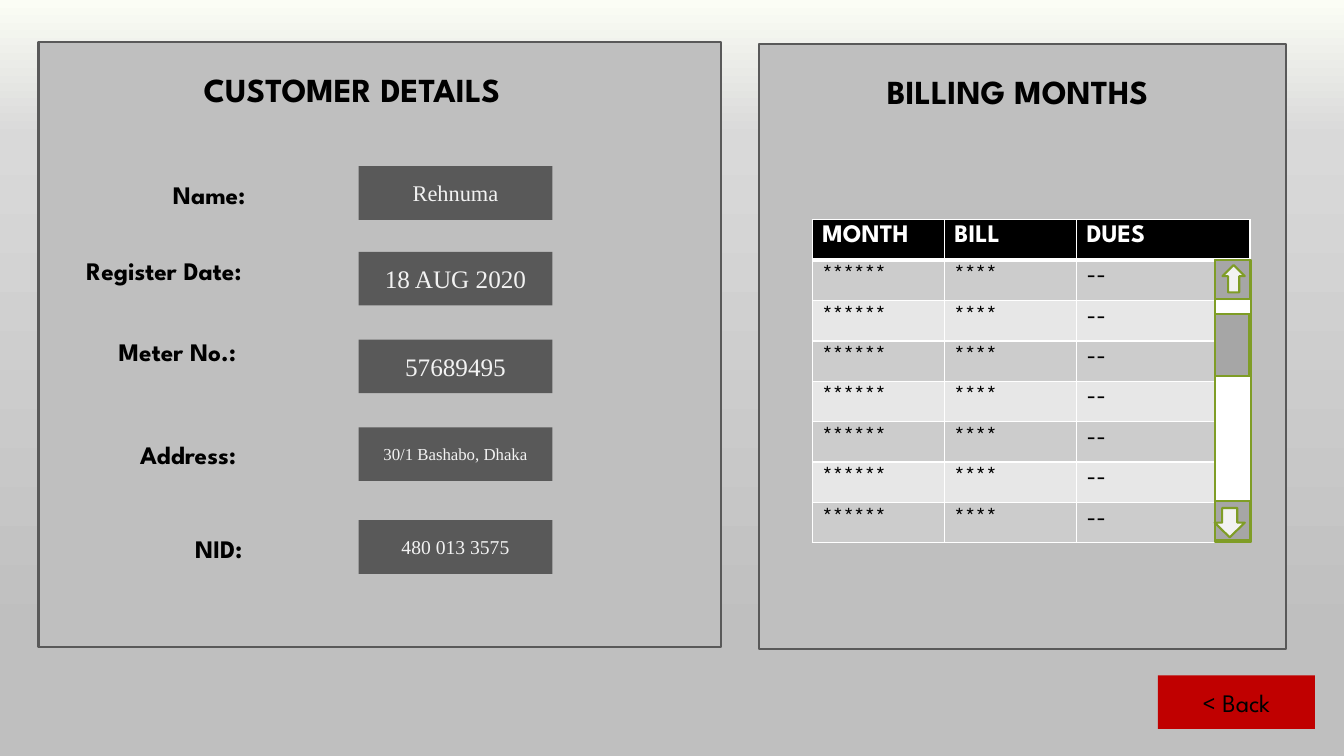
from copy import deepcopy
from lxml.etree import SubElement
from pptx import Presentation
from pptx.dml.color import RGBColor
from pptx.enum.shapes import MSO_SHAPE
from pptx.enum.text import MSO_ANCHOR, MSO_AUTO_SIZE, PP_ALIGN
from pptx.oxml.ns import qn
from pptx.util import Cm, Pt

BLACK = RGBColor(0x00, 0x00, 0x00)
WHITE = RGBColor(0xFF, 0xFF, 0xFF)
IVORY = RGBColor(0xFB, 0xFD, 0xF5)
MIST = RGBColor(0xD9, 0xD9, 0xD9)
SILVER = RGBColor(0xBF, 0xBF, 0xBF)
CHARCOAL = RGBColor(0x59, 0x59, 0x59)
PALE = RGBColor(0xF2, 0xF2, 0xF2)
GREY = RGBColor(0xA6, 0xA6, 0xA6)
GREEN = RGBColor(0x7F, 0x9D, 0x26)
RED = RGBColor(0xC0, 0x00, 0x00)
BAND_DARK = RGBColor(0xCC, 0xCC, 0xCC)
BAND_LIGHT = RGBColor(0xE7, 0xE7, 0xE7)
SANS, SERIF = "League Spartan", "Times New Roman"

BACKGROUND = [(0, IVORY), (0.18, MIST), (0.85, SILVER)]
PANELS = [(19.13, 1.12, 13.28, 15.24), (0.97, 1.07, 17.2, 15.24)]
TITLES = [
    ("CUSTOMER DETAILS", (4.88, 1.6, 8.31, 1.27)),
    ("BILLING MONTHS", (22.1, 1.65, 7.34, 1.27)),
]
DETAILS = [
    ("Name:", (4.11, 4.39, 2.62, 1.02), "Rehnuma", 4.19, 16),
    ("Register Date:", (1.93, 6.32, 4.8, 1.02), "18 AUG 2020", 6.35, 18),
    ("Meter No.:", (2.74, 8.36, 3.73, 1.02), "57689495", 8.56, 18),
    ("Address:", (3.28, 10.95, 3.2, 1.02), "30/1 Bashabo, Dhaka", 10.77, 12),
    ("NID:", (4.67, 13.31, 1.8, 1.02), "480 013 3575", 13.11, 14),
]
VALUE_LEFT, VALUE_WIDTH, VALUE_HEIGHT = 9.04, 4.88, 1.35
BILLS = [("MONTH", "BILL", "DUES")] + [("******", "****", "--")] * 7
BILL_LEFT, BILL_TOP, ROW_HEIGHT = 20.47, 5.54, 1.016
COLUMN_WIDTHS = (3.33, 3.33, 4.37)
BACK_BOX = (29.18, 17.02, 3.96, 1.35)
SCROLL_BAR = [
    (MSO_SHAPE.RECTANGLE, (30.63, 6.55, 0.89, 7.11), WHITE, 0),
    (MSO_SHAPE.RECTANGLE, (30.61, 6.55, 0.89, 0.99), GREY, 0),
    (MSO_SHAPE.RECTANGLE, (30.61, 12.62, 0.89, 0.99), GREY, 0),
    (MSO_SHAPE.UP_ARROW, (30.81, 6.68, 0.56, 0.69), PALE, 0),
    (MSO_SHAPE.UP_ARROW, (30.61, 12.8, 0.76, 0.74), PALE, 180),
    (MSO_SHAPE.RECTANGLE, (30.63, 7.92, 0.86, 1.55), GREY, 0),
]


def write(frame, text, color, **font_format):
    para = frame.paragraphs[0]
    span = para.add_run()
    span.text = text
    for name, value in font_format.items():
        setattr(span.font, name, value)
    span.font.color.rgb = color
    return para, span


def add_block(page, kind, place, fill, line=None):
    block = page.shapes.add_shape(kind, *map(Cm, place))
    block.shadow.inherit = False
    block.fill.solid()
    block.fill.fore_color.rgb = fill
    if line is None:
        block.line.fill.background()
    else:
        block.line.color.rgb = line
        block.line.width = Pt(1.5)
    return block


def add_button(page, place, fill, text, color, **font_format):
    frame = add_block(page, MSO_SHAPE.RECTANGLE, place, fill).text_frame
    frame.vertical_anchor = MSO_ANCHOR.MIDDLE
    para, span = write(frame, text, color, **font_format)
    para.alignment = PP_ALIGN.CENTER
    return span


def add_label(page, place, text, size):
    frame = page.shapes.add_textbox(*map(Cm, place)).text_frame
    frame.word_wrap = False
    frame.auto_size = MSO_AUTO_SIZE.SHAPE_TO_FIT_TEXT
    write(frame, text, BLACK, name=SANS, size=Pt(size), bold=True)


def add_solid_line(parent, tag, color, points):
    line = SubElement(parent, qn(tag), w=str(Pt(points)))
    fill = SubElement(line, qn("a:solidFill"))
    SubElement(fill, qn("a:srgbClr"), val=str(color))
    return line


def paint_background(page):
    page.background.fill.gradient()
    stops = next(page.element.iter(qn("a:gsLst")))
    stops.append(deepcopy(stops[0]))
    fill = page.background.fill
    fill.gradient_angle = 270
    for stop, (position, color) in zip(fill.gradient_stops, BACKGROUND):
        stop.position = position
        stop.color.rgb = color


def add_bills(page):
    frame = page.shapes.add_table(
        len(BILLS), len(COLUMN_WIDTHS), Cm(BILL_LEFT), Cm(BILL_TOP),
        Cm(sum(COLUMN_WIDTHS)), Cm(ROW_HEIGHT * len(BILLS)))
    table = frame.table
    for column, width in zip(table.columns, COLUMN_WIDTHS):
        column.width = Cm(width)
    for number, texts in enumerate(BILLS):
        table.rows[number].height = Cm(ROW_HEIGHT)
        header = number == 0
        band = BLACK if header else BAND_DARK if number % 2 else BAND_LIGHT
        for column, text in enumerate(texts):
            cell = table.cell(number, column)
            properties = cell._tc.get_or_add_tcPr()
            edges = {"a:lnL": 1, "a:lnR": 1,
                     "a:lnT": 3 if number == 1 else 1,
                     "a:lnB": 3 if header else 1}
            for tag, points in edges.items():
                add_solid_line(properties, tag, WHITE, points)
            cell.fill.solid()
            cell.fill.fore_color.rgb = band
            write(cell.text_frame, text, WHITE if header else BLACK,
                  name=SANS, size=Pt(18), bold=header)


def main():
    deck = Presentation()
    deck.slide_width, deck.slide_height = Cm(33.87), Cm(19.05)
    page = deck.slides.add_slide(deck.slide_layouts[6])
    paint_background(page)
    for place in PANELS:
        add_block(page, MSO_SHAPE.RECTANGLE, place, SILVER, CHARCOAL)
    for title, place in TITLES:
        add_label(page, place, title, 24)
    for label, place, value, top, size in DETAILS:
        add_label(page, place, label, 18)
        add_button(page, (VALUE_LEFT, top, VALUE_WIDTH, VALUE_HEIGHT), CHARCOAL,
                   value, PALE, name=SERIF, size=Pt(size))
    add_bills(page)
    back = add_button(page, BACK_BOX, RED, "< Back", BLACK, name=SANS, size=Pt(18))
    properties = back.font._element
    properties.insert(0, add_solid_line(properties, "a:ln", BLACK, 0.75))
    for kind, place, fill, rotation in SCROLL_BAR:
        add_block(page, kind, place, fill, GREEN).rotation = rotation
    deck.save("out.pptx")


if __name__ == "__main__":
    main()
